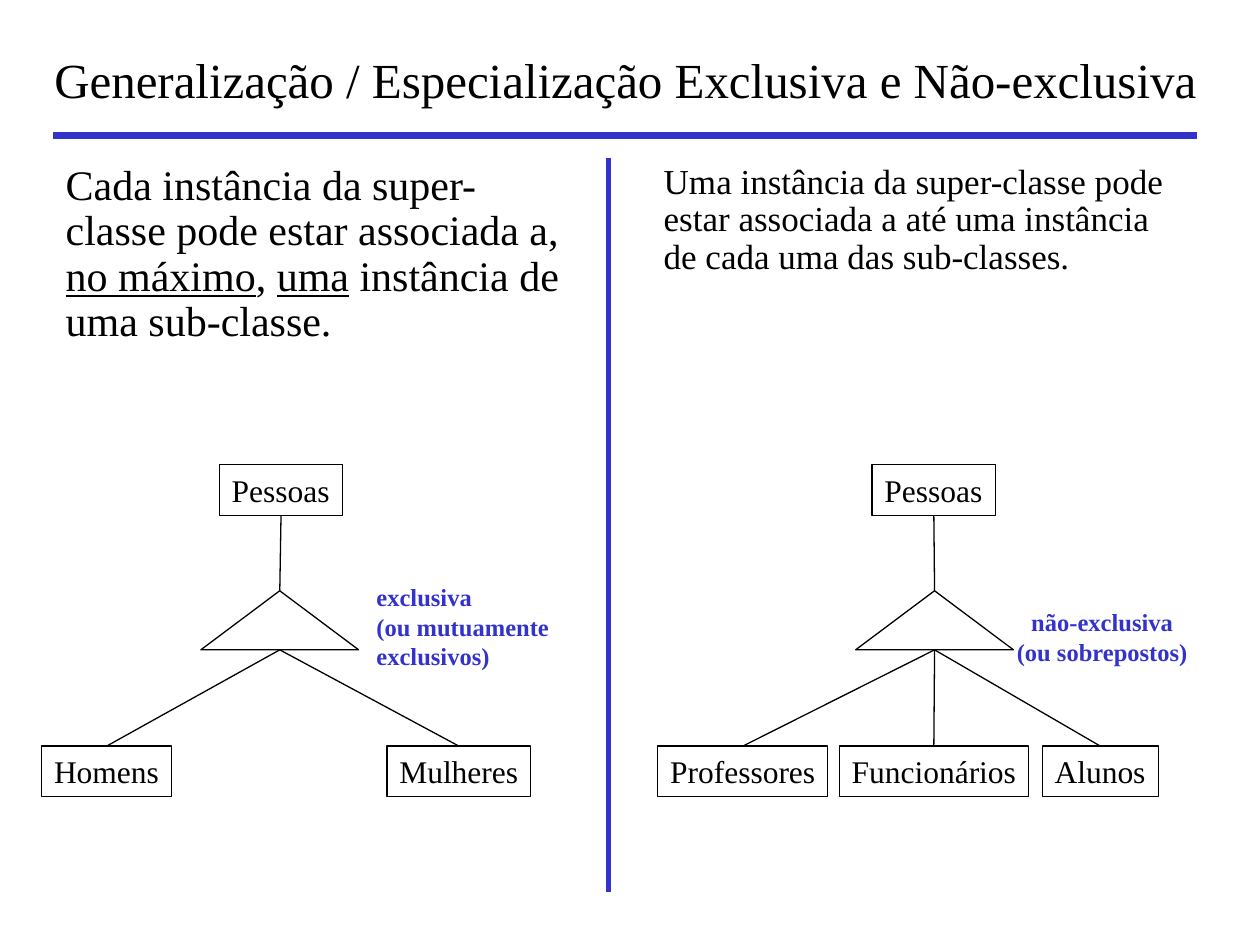
from dataclasses import dataclass

from lxml.etree import SubElement
from pptx import Presentation
from pptx.dml.color import RGBColor
from pptx.enum.shapes import MSO_CONNECTOR, MSO_SHAPE
from pptx.enum.text import MSO_ANCHOR, MSO_AUTO_SIZE, PP_ALIGN
from pptx.oxml.ns import qn
from pptx.util import Cm, Pt


@dataclass(frozen=True)
class Theme:
    font: str = "Times New Roman"
    ink: RGBColor = RGBColor(0x00, 0x00, 0x00)
    accent: RGBColor = RGBColor(0x33, 0x33, 0xCC)
    title: int = 28
    body: int = 24
    side: int = 20
    entity: int = 18
    note: int = 14
    thin: float = 0.75
    divider: float = 3
    rule: float = 4


THEME = Theme()

TITLE = "Generalização / Especialização Exclusiva e Não-exclusiva"
# (text, underlined)
EXCLUSIVE = [
    ("Cada instância da super-classe pode estar associada a, ", False),
    ("no máximo", True),
    (", ", False),
    ("uma", True),
    (" instância de uma sub-classe.", False),
]
OVERLAPPING = [
    ("Uma instância da super-classe pode estar associada a até uma "
     "instância de cada uma das sub-classes.", False),
]

# Lengths in cm; entities are (name, left, width)
TREES = [
    {
        "parent": ("Pessoas", 4.42, 2.49),
        "axis": 5.64,
        "children": [("Homens", 0.84, 2.62), ("Mulheres", 7.8, 2.9)],
        "note": ["exclusiva", "(ou mutuamente", "exclusivos)"],
        "note_area": (7.34, 11.61, 4.11, 2.03),
        "note_align": PP_ALIGN.LEFT,
    },
    {
        "parent": ("Pessoas", 17.58, 2.49),
        "axis": 18.84,
        "children": [("Professores", 13.26, 3.43), ("Funcionários", 16.92, 3.81),
                     ("Alunos", 21.01, 2.34)],
        "note": ["não-exclusiva", "(ou sobrepostos)"],
        "note_area": (20.24, 12.12, 3.96, 1.45),
        "note_align": PP_ALIGN.CENTER,
    },
]
PARENT_TOP, CHILD_TOP, ENTITY_HEIGHT = 9.37, 15.04, 1.02
TRIANGLE_TOP, TRIANGLE_WIDTH, TRIANGLE_HEIGHT = 11.91, 3.18, 1.19
COLUMN_TOP, COLUMN_WIDTH = 3.18, 10.8


def place(shape, left, top, width, height):
    shape.left, shape.top = Cm(left), Cm(top)
    shape.width, shape.height = Cm(width), Cm(height)


def style(para, size, color=THEME.ink, bold=False, align=PP_ALIGN.LEFT):
    para.alignment = align
    para.font.name, para.font.size = THEME.font, Pt(size)
    para.font.bold, para.font.color.rgb = bold, color


def fill_statement(box, spans, size):
    """Write one unbulleted paragraph with its underlined words."""
    frame = box.text_frame
    frame.word_wrap, frame.auto_size = True, MSO_AUTO_SIZE.NONE
    para = frame.paragraphs[0]
    properties = para._p.get_or_add_pPr()
    properties.set("marL", "0")
    properties.set("indent", "0")
    SubElement(properties, qn("a:buNone"))
    para.line_spacing, para.space_before = 0.9, Pt(0)
    style(para, size)
    for text, underlined in spans:
        span = para.add_run()
        span.text = text
        if underlined:
            span.font.underline = True


def add_line(page, start, end, color=THEME.ink, width=THEME.thin):
    line = page.shapes.add_connector(
        MSO_CONNECTOR.STRAIGHT, *(Cm(value) for value in (*start, *end)))
    line.line.color.rgb, line.line.width = color, Pt(width)
    SubElement(line._element.spPr, qn("a:effectLst"))


def add_outline(page, kind, left, top, width, height):
    shape = page.shapes.add_shape(
        kind, *(Cm(value) for value in (left, top, width, height)))
    shape.shadow.inherit = False
    shape.fill.background()
    shape.line.color.rgb, shape.line.width = THEME.ink, Pt(THEME.thin)
    return shape


def add_entity(page, entity, top):
    """Draw a named box and return its horizontal centre."""
    name, left, width = entity
    box = add_outline(page, MSO_SHAPE.RECTANGLE, left, top, width, ENTITY_HEIGHT)
    frame = box.text_frame
    frame.text, frame.word_wrap = name, False
    frame.vertical_anchor = MSO_ANCHOR.TOP
    style(frame.paragraphs[0], THEME.entity)
    return left + width / 2


def add_tree(page, tree):
    axis = tree["axis"]
    base = TRIANGLE_TOP + TRIANGLE_HEIGHT
    center = add_entity(page, tree["parent"], PARENT_TOP)
    add_line(page, (center, PARENT_TOP + ENTITY_HEIGHT), (axis, TRIANGLE_TOP))
    add_outline(page, MSO_SHAPE.FLOWCHART_EXTRACT, axis - TRIANGLE_WIDTH / 2,
                TRIANGLE_TOP, TRIANGLE_WIDTH, TRIANGLE_HEIGHT)
    for child in tree["children"]:
        center = add_entity(page, child, CHILD_TOP)
        add_line(page, (axis, base), (center, CHILD_TOP))

    note = page.shapes.add_textbox(*(Cm(value) for value in tree["note_area"]))
    note.text_frame.word_wrap = False
    note.text_frame.text = "\n".join(tree["note"])
    for para in note.text_frame.paragraphs:
        style(para, THEME.note, THEME.accent, True, tree["note_align"])


def main():
    deck = Presentation()
    deck.slide_width, deck.slide_height = Cm(25.4), Cm(19.05)
    page = deck.slides.add_slide(deck.slide_layouts[1])

    title, body = page.placeholders
    place(title, 0.84, 0.43, 23.85, 2.34)
    title.text_frame.text = TITLE
    title.text_frame.auto_size = MSO_AUTO_SIZE.NONE
    title.text_frame.vertical_anchor = MSO_ANCHOR.MIDDLE
    style(title.text_frame.paragraphs[0], THEME.title)

    place(body, 1.07, COLUMN_TOP, COLUMN_WIDTH, 4.24)
    fill_statement(body, EXCLUSIVE, THEME.body)
    side = page.shapes.add_textbox(
        Cm(13.13), Cm(COLUMN_TOP), Cm(COLUMN_WIDTH), Cm(2.34))
    fill_statement(side, OVERLAPPING, THEME.side)

    add_line(page, (1.07, 2.74), (24.13, 2.74), THEME.accent, THEME.rule)
    add_line(page, (12.27, COLUMN_TOP), (12.27, 17.98), THEME.accent, THEME.divider)
    for tree in TREES:
        add_tree(page, tree)
    deck.save("out.pptx")


if __name__ == "__main__":
    main()
